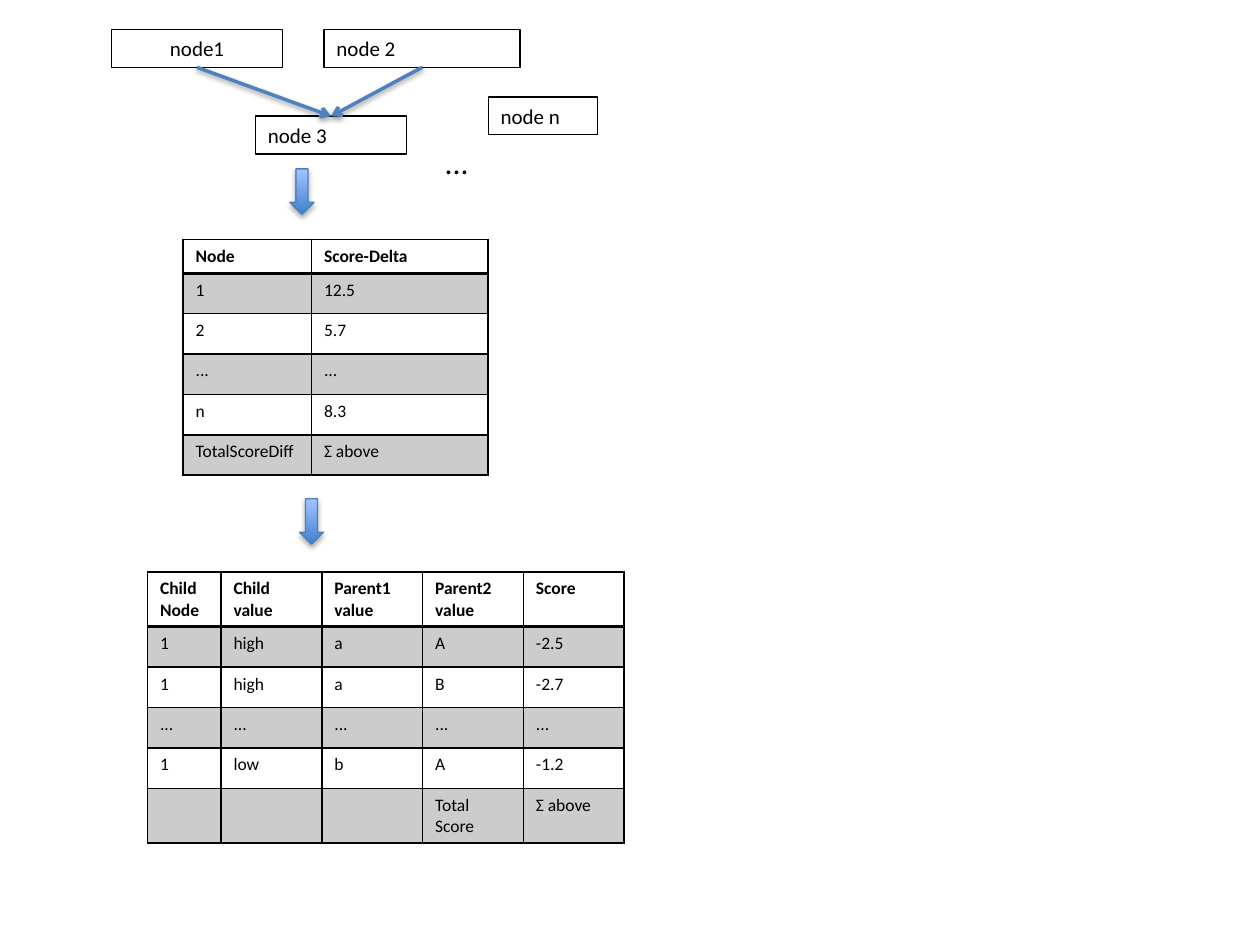
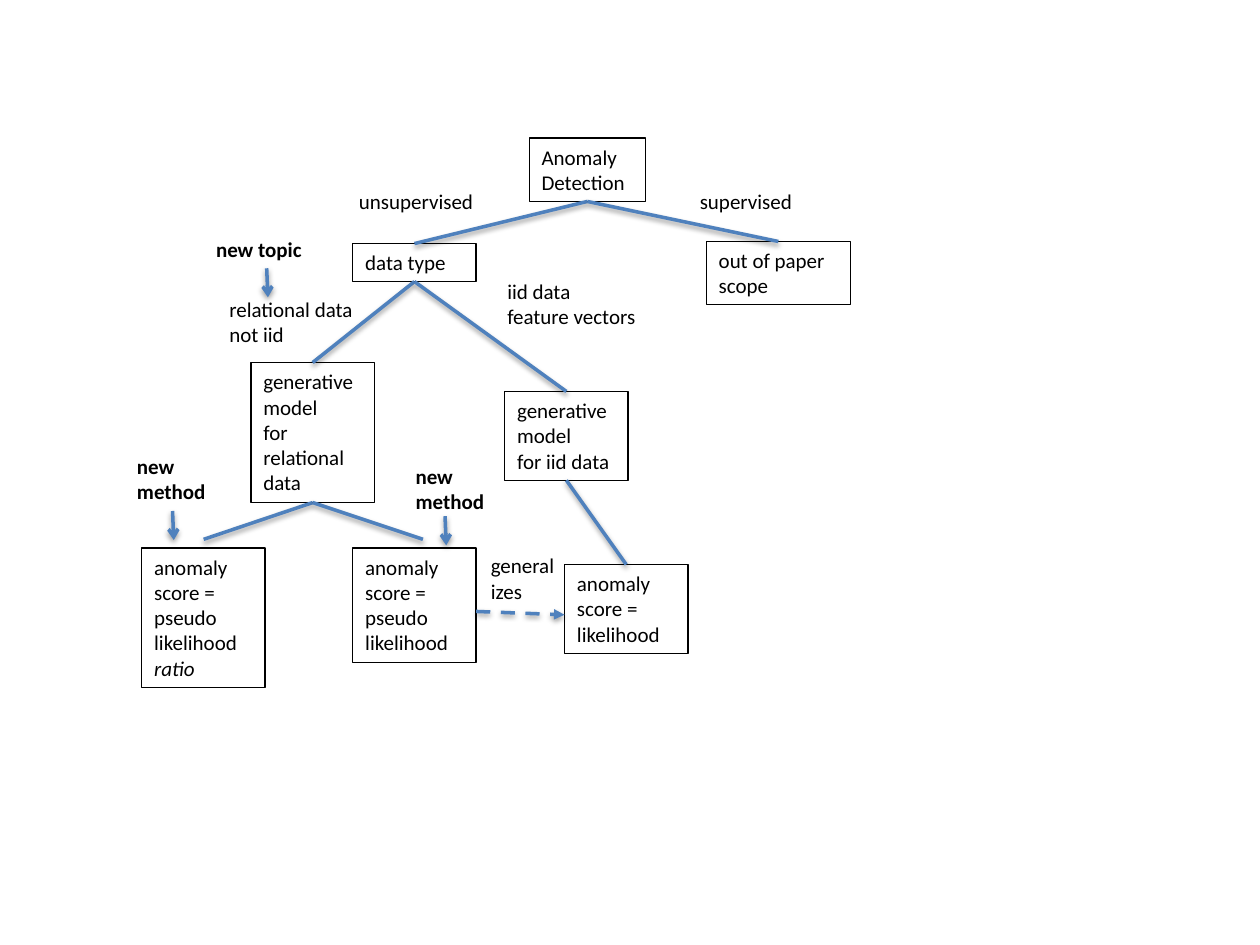
from dataclasses import dataclass

import pptx
import pptx.dml.color
import pptx.enum.dml
import pptx.enum.shapes
import pptx.enum.text
import pptx.oxml
import pptx.oxml.ns
import pptx.util

Pt = pptx.util.Pt
TOP, BOTTOM = 0, 2


@dataclass(frozen=True)
class Theme:
    font: str = "Calibri"
    ink: str = "000000"
    accent: str = "4F81BD"
    arrow_edge: str = "4B7EBC"
    arrow_dark: str = "3F80CE"
    arrow_light: str = "A4C4FF"
    band_opacity: int = 20
    table_size: int = 10
    text_size: int = 12
    ellipsis_size: int = 18
    thin: float = 0.75
    cell_line: int = 1
    thick: int = 2


THEME = Theme()


def color(value):
    return pptx.dml.color.RGBColor.from_string(value)


def append_xml(parent, markup):
    declaration = pptx.oxml.ns.nsdecls("a")
    tag, rest = markup.split(" ", 1)
    parent.append(pptx.oxml.parse_xml(f"{tag} {declaration} {rest}"))


def write(frame, text, size=THEME.text_size, bold=False, italic="", align=None):
    for index, line in enumerate(text.split("\n")):
        paragraph = frame.add_paragraph() if index else frame.paragraphs[0]
        paragraph.alignment = align
        pieces = line.partition(italic) if italic else (line,)
        for piece in filter(None, pieces):
            run = paragraph.add_run()
            run.text = piece
            run.font.name = THEME.font
            run.font.size = Pt(size)
            run.font.bold = bold
            run.font.italic = piece == italic
            run.font.color.rgb = color(THEME.ink)


class Diagram:
    def __init__(self, presentation):
        self.presentation = presentation
        self.slide = None

    def new_slide(self):
        layout = self.presentation.slide_layouts[6]
        self.slide = self.presentation.slides.add_slide(layout)

    def label(self, text, x, y, width, lines=1, size=THEME.text_size, **style):
        height = 7.2 + 1.21 * size * lines
        shape = self.slide.shapes.add_textbox(Pt(x), Pt(y), Pt(width), Pt(height))
        shape.text_frame.word_wrap = True
        shape.text_frame.auto_size = pptx.enum.text.MSO_AUTO_SIZE.SHAPE_TO_FIT_TEXT
        write(shape.text_frame, text, size=size, **style)
        return shape

    def box(self, *place, **style):
        shape = self.label(*place, **style)
        self.outline(shape, THEME.ink, THEME.thin)
        return shape

    def outline(self, shape, line_color, width):
        shape.line.color.rgb = color(line_color)
        shape.line.width = Pt(width)

    def shadow(self, shape, distance, opacity):
        append_xml(
            shape._element.spPr,
            f'<a:effectLst ><a:outerShdw blurRad="{Pt(3.1)}" dist="{Pt(distance)}" '
            f'dir="5400000" rotWithShape="0"><a:srgbClr val="{THEME.ink}">'
            f'<a:alpha val="{opacity * 1000}"/></a:srgbClr></a:outerShdw></a:effectLst>',
        )

    def line(self, start, end, head=None, dashed=False):
        connector = self.slide.shapes.add_connector(
            pptx.enum.shapes.MSO_CONNECTOR.STRAIGHT, *map(Pt, start + end)
        )
        self.outline(connector, THEME.accent, THEME.thick)
        if dashed:
            connector.line.dash_style = pptx.enum.dml.MSO_LINE.DASH
        if head:
            line = connector._element.spPr.find(pptx.oxml.ns.qn("a:ln"))
            append_xml(line, f'<a:tailEnd type="{head}"/>')
        self.shadow(connector, 1.6, 38)
        return connector

    def link(self, parent, child, head=None):
        connector = self.line((0, 0), (0, 0), head)
        connector.begin_connect(parent, BOTTOM)
        connector.end_connect(child, TOP)

    def pointer(self, x, y):
        self.line((x, y), (x + 0.7, y + 16.6), "arrow")

    def block_arrow(self, x, y):
        shape = self.slide.shapes.add_shape(
            pptx.enum.shapes.MSO_SHAPE.DOWN_ARROW, Pt(x), Pt(y), Pt(13.7), Pt(26)
        )
        shape.fill.gradient()
        shape.fill.gradient_angle = 90
        shades = (THEME.arrow_dark, THEME.arrow_light)
        for position, (stop, shade) in enumerate(zip(shape.fill.gradient_stops, shades)):
            stop.color.rgb = color(shade)
            stop.position = position
        self.outline(shape, THEME.arrow_edge, THEME.thin)
        self.shadow(shape, 1.8, 35)

    def table(self, x, y, widths, rows):
        heights = [15.1] + [23.1] * (len(rows) - 1)
        frame = self.slide.shapes.add_table(
            len(rows), len(widths), Pt(x), Pt(y), Pt(sum(widths)), Pt(sum(heights))
        )
        table = frame.table
        table.first_row = table.horz_banding = False
        for column, width in zip(table.columns, widths):
            column.width = Pt(width)
        for row_index, (row, height) in enumerate(zip(table.rows, heights)):
            row.height = Pt(height)
            for cell, text in zip(row.cells, rows[row_index]):
                self.cell(cell, text, row_index)

    def cell(self, cell, text, row_index):
        write(cell.text_frame, text, size=THEME.table_size, bold=row_index == 0)
        properties = cell._tc.get_or_add_tcPr()
        for side in "LRTB":
            under_header = (side, row_index) in (("B", 0), ("T", 1))
            width = THEME.thick if under_header else THEME.cell_line
            append_xml(
                properties,
                f'<a:ln{side} w="{Pt(width)}"><a:solidFill>'
                f'<a:srgbClr val="{THEME.ink}"/></a:solidFill></a:ln{side}>',
            )
        if row_index % 2:
            cell.fill.solid()
            cell.fill.fore_color.rgb = color(THEME.ink)
            fill = properties.find(pptx.oxml.ns.qn("a:solidFill"))
            append_xml(fill[0], f'<a:alpha val="{THEME.band_opacity * 1000}"/>')
        else:
            cell.fill.background()


def build_score_slide(diagram):
    diagram.new_slide()
    diagram.table(104.6, 136.8, [73.4, 101], [
        ("Node", "Score-Delta"),
        ("1", "12.5"),
        ("2", "5.7"),
        ("...", "..."),
        ("n", "8.3"),
        ("TotalScoreDiff", "Σ above"),
    ])
    child = diagram.box("node 3", 146, 66.4, 86.4)
    center = pptx.enum.text.PP_ALIGN.CENTER
    first_parent = diagram.box("node1", 63.8, 16.8, 97.6, align=center)
    second_parent = diagram.box("node 2", 185.2, 16.8, 112)
    for parent in (first_parent, second_parent):
        diagram.link(parent, child, "arrow")
    diagram.box("node n", 279, 55.4, 62.6)
    diagram.label("...", 247, 78, 32, size=THEME.ellipsis_size)
    diagram.block_arrow(165.7, 96.5)
    diagram.table(84.3, 326.9, [42] + [57.6] * 4, [
        ("Child Node", "Child value", "Parent1 value", "Parent2 value", "Score"),
        ("1", "high", "a", "A", "-2.5"),
        ("1", "high", "a", "B", "-2.7"),
        ("...",) * 5,
        ("1", "low", "b", "A", "-1.2"),
        ("", "", "", "Total Score", "Σ above"),
    ])
    diagram.block_arrow(171.2, 285)


def build_taxonomy_slide(diagram):
    diagram.new_slide()
    node_width = 70.5
    root = diagram.box("Anomaly Detection", 302.4, 78.9, 66.4, lines=2)
    out_of_scope = diagram.box("out of paper scope", 403.6, 138, 82.4, lines=2)
    data_type = diagram.box("data type", 201.6, 139.2, node_width)
    relational = diagram.box(
        "generative model\nfor relational data", 143.4, 207.2, node_width, lines=5
    )
    independent = diagram.box(
        "generative model\nfor iid data", 288.4, 223.7, node_width, lines=3
    )
    diagram.box(
        "anomaly score =\npseudo likelihood ratio",
        81, 313.2, node_width, lines=5, italic="ratio",
    )
    diagram.box("anomaly score =\npseudo likelihood", 201.6, 313.2, node_width, lines=4)
    likelihood = diagram.box("anomaly score =\nlikelihood", 322.6, 322.6, node_width, lines=3)

    for parent, child in (
        (root, data_type),
        (root, out_of_scope),
        (data_type, relational),
        (data_type, independent),
        (independent, likelihood),
    ):
        diagram.link(parent, child)
    for leaf_x in (116.4, 241.7):
        diagram.line((178.7, 287.2), (leaf_x, 308.2))
    diagram.line((272.1, 349.4), (322.6, 351.3), "triangle", dashed=True)

    diagram.label("supervised", 392.8, 104.4, 85)
    diagram.label("unsupervised", 198, 104.4, 85)
    diagram.label("iid data\nfeature vectors", 282.8, 155.4, 92, lines=2)
    diagram.label("relational data\nnot iid", 124, 165.8, 92, lines=2)
    diagram.label("generalizes", 273.4, 312.4, 50.4, lines=2)
    diagram.label("new topic", 116.4, 131.8, 72, bold=True)
    for x, y in ((71.2, 255.6), (230.4, 261.5)):
        diagram.label("new method", x, y, 72, lines=2, bold=True)
    for x, y in ((152.4, 153.3), (98.6, 292), (254.3, 295)):
        diagram.pointer(x, y)


presentation = pptx.Presentation()
presentation.slide_width = Pt(720)
presentation.slide_height = Pt(540)
diagram = Diagram(presentation)
build_score_slide(diagram)
build_taxonomy_slide(diagram)
presentation.save("out.pptx")
